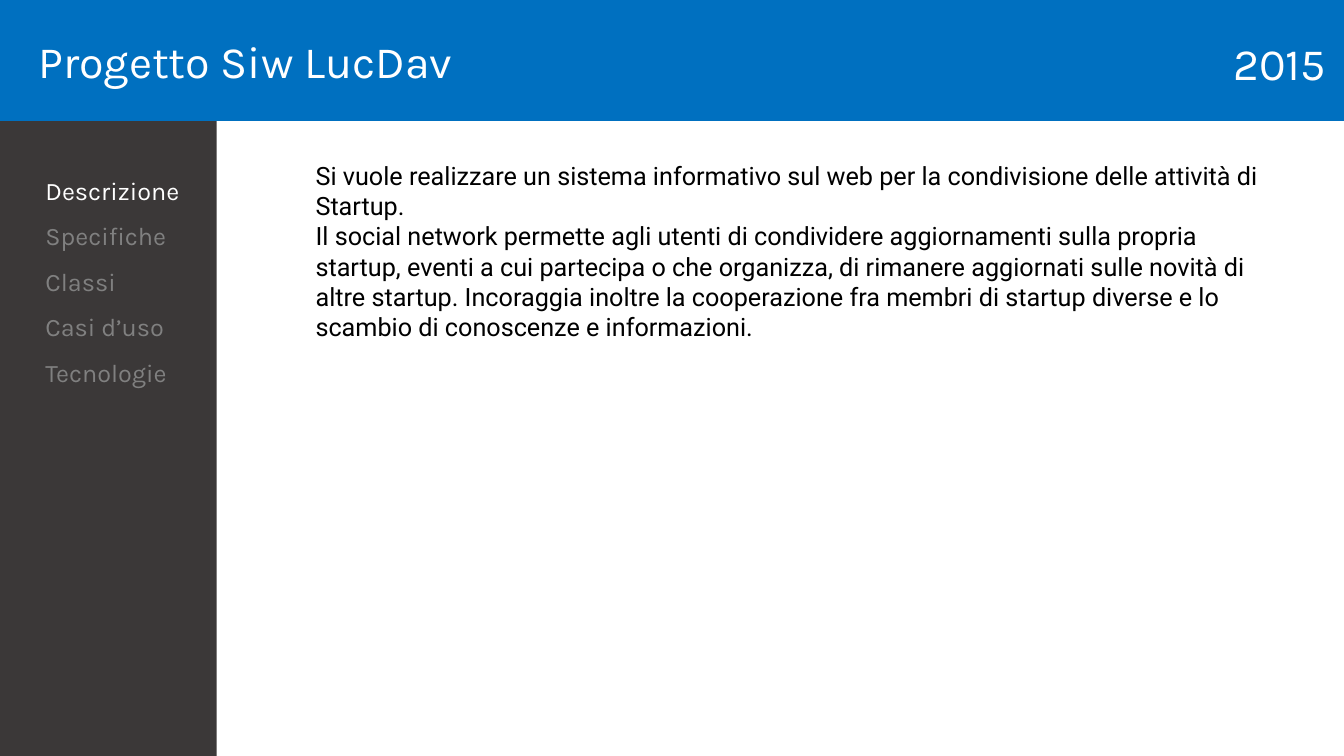
from pptx import Presentation
from pptx.dml.color import RGBColor
from pptx.enum.shapes import MSO_SHAPE
from pptx.enum.text import MSO_ANCHOR, MSO_AUTO_SIZE, PP_ALIGN
from pptx.oxml.ns import qn
from pptx.util import Inches, Pt

BLUE = RGBColor(0x00, 0x70, 0xC0)
CHARCOAL = RGBColor(0x3B, 0x38, 0x38)
GREY = RGBColor(0x80, 0x80, 0x80)
WHITE = RGBColor(0xFF, 0xFF, 0xFF)
BLACK = RGBColor(0x00, 0x00, 0x00)

HEADER_HEIGHT = 16
SIDEBAR_WIDTH = 16.13
CONTENT_TOP = 20.53

MENU = ["Descrizione", "Specifiche", "Classi", "Casi d’uso", "Tecnologie"]
DESCRIPTION = [
    "Si vuole realizzare un sistema informativo sul web per la condivisione "
    "delle attività di Startup.",
    "Il social network permette agli utenti di condividere aggiornamenti sulla "
    "propria startup, eventi a cui partecipa o che organizza, di rimanere "
    "aggiornati sulle novità di altre startup. Incoraggia inoltre la cooperazione "
    "fra membri di startup diverse e lo scambio di conoscenze e informazioni.",
]


class ProjectPage:
    """Style and current slide; every area is (left, top, width, height) in percent."""

    heading_font, text_font = "Karla", "Roboto"
    heading_size, text_size = Pt(32), Pt(18)

    def __init__(self, deck):
        self.deck = deck
        self.page = deck.slides.add_slide(deck.slide_layouts.get_by_name("Two Content"))

    def measure(self, area):
        width, height = self.deck.slide_width, self.deck.slide_height
        return [round(share * side / 100)
                for share, side in zip(area, (width, height, width, height))]

    def place(self, box, area):
        box.left, box.top, box.width, box.height = self.measure(area)

    def style(self, para, font, size, color, align=PP_ALIGN.LEFT):
        para.alignment = align
        para.font.name, para.font.size = font, size
        para.font.color.rgb = color

    def title(self, text, area):
        box = self.page.shapes.title
        self.place(box, area)
        box.fill.solid()
        box.fill.fore_color.rgb = BLUE
        frame = box.text_frame
        frame.text = text
        frame.margin_left = Inches(0.38)
        frame.vertical_anchor = MSO_ANCHOR.MIDDLE
        frame.auto_size = MSO_AUTO_SIZE.NONE
        self.style(frame.paragraphs[0], self.heading_font, self.heading_size, WHITE)

    def text_list(self, index, lines, area, font, colors, spacing=1.0):
        box = self.page.placeholders[index]
        self.place(box, area)
        frame = box.text_frame
        frame.text = "\n".join(lines)
        frame.auto_size = MSO_AUTO_SIZE.NONE
        for para, color in zip(frame.paragraphs, colors):
            self.style(para, font, self.text_size, color)
            para.line_spacing = spacing
            para.space_before = Pt(0)
            self.remove_bullet(para)

    def remove_bullet(self, para):
        properties = para._p.get_or_add_pPr()
        properties.set("marL", "0")
        properties.set("indent", "0")
        bullet = properties.makeelement(qn("a:buNone"), {})
        properties.insert_element_before(bullet, "a:tabLst", "a:defRPr", "a:extLst")

    def panel(self, area, color):
        """Add a plain rectangle behind everything else."""
        shapes = self.page.shapes
        box = shapes.add_shape(MSO_SHAPE.RECTANGLE, *self.measure(area))
        box.shadow.inherit = False
        box.fill.solid()
        box.fill.fore_color.rgb = color
        box.line.fill.background()
        shapes._spTree.insert(2, box._element)

    def label(self, text, area):
        frame = self.page.shapes.add_textbox(*self.measure(area)).text_frame
        frame.word_wrap = True
        frame.text = text
        self.style(frame.paragraphs[0], self.heading_font, self.heading_size,
                   WHITE, PP_ALIGN.RIGHT)


def main():
    deck = Presentation()
    deck.slide_width, deck.slide_height = Inches(13.33), Inches(7.5)
    project = ProjectPage(deck)
    project.panel((0, HEADER_HEIGHT, SIDEBAR_WIDTH, 100 - HEADER_HEIGHT), CHARCOAL)
    project.title("Progetto Siw LucDav", (0, 0, 100, HEADER_HEIGHT))
    project.text_list(1, DESCRIPTION, (22.73, CONTENT_TOP, 71.64, 37.73),
                      project.text_font, [BLACK] * len(DESCRIPTION))
    project.text_list(2, MENU, (2.63, CONTENT_TOP, 20.1, 31.6),
                      project.heading_font, [WHITE] + [GREY] * (len(MENU) - 1), 1.5)
    project.label("2015", (82.9, 4.13, 16.5, 8.53))
    deck.save("out.pptx")


if __name__ == "__main__":
    main()
